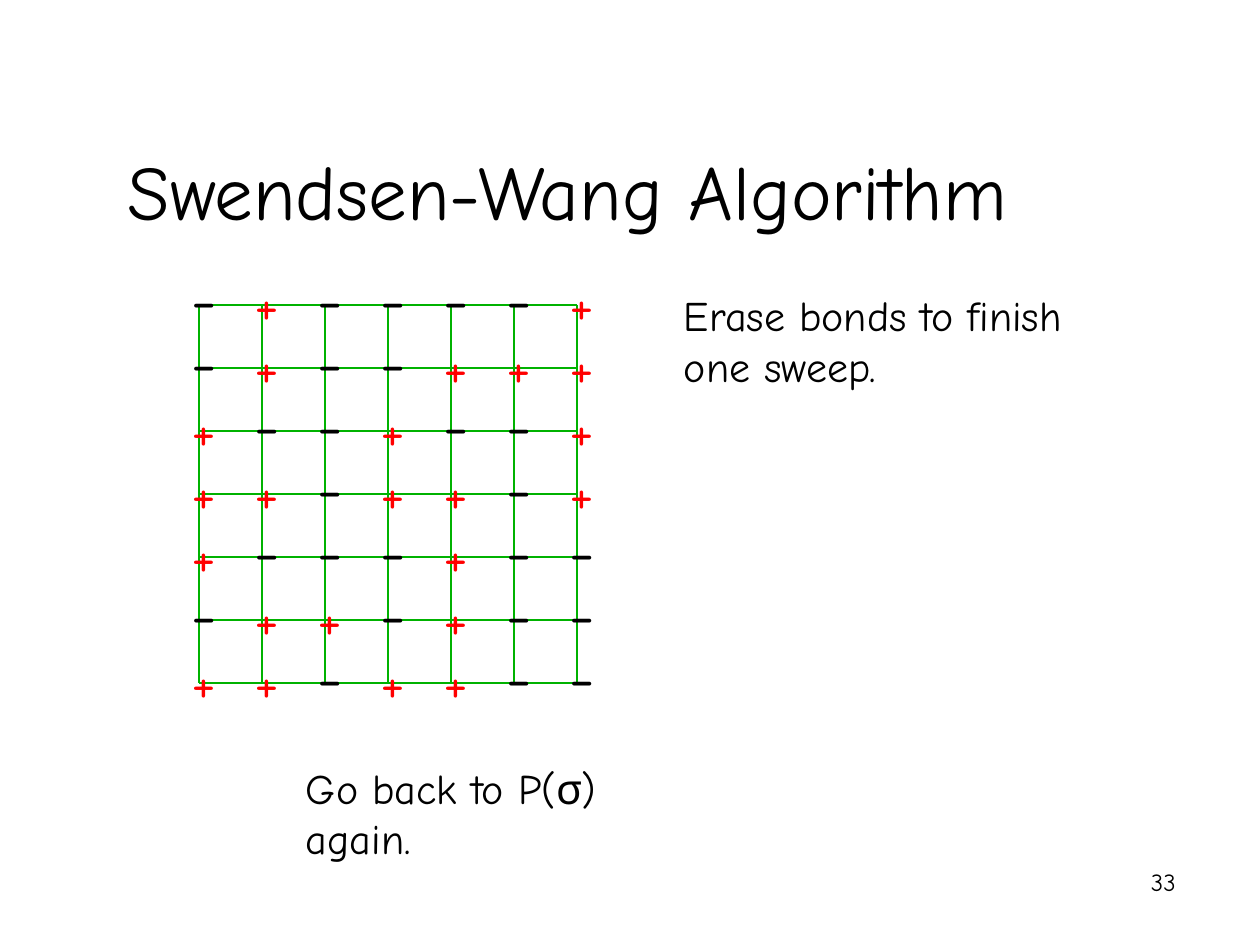
from lxml.etree import SubElement
from pptx import Presentation
from pptx.dml.color import RGBColor
from pptx.enum.shapes import MSO_CONNECTOR
from pptx.enum.text import MSO_ANCHOR, PP_ALIGN
from pptx.oxml.ns import qn
from pptx.util import Inches, Pt

FONT = "Comic Neue"
BLACK, RED, GREEN = "000000", "FF0000", "00B200"

# left, top, width, height, text, size, alignment, anchor
TEXTS = [
    (0.75, 0.17, 7.51, 1.75, "Swendsen-Wang Algorithm", 44, PP_ALIGN.CENTER, MSO_ANCHOR.BOTTOM),
    (5.33, 2.25, 3.67, 0.9, "Erase bonds to finish one sweep.", 24, PP_ALIGN.LEFT, MSO_ANCHOR.TOP),
    (2.33, 6, 3.33, 0.9, "Go back to P(σ) again.", 24, PP_ALIGN.LEFT, MSO_ANCHOR.TOP),
    (7.35, 6.83, 2.08, 0.5, "33", 14, PP_ALIGN.RIGHT, MSO_ANCHOR.TOP),
]

SPINS = [
    "-+----+",
    "-+--+++",
    "+--+--+",
    "++-++-+",
    "+---+--",
    "-++-+--",
    "++-++--",
]
# size, colour, rise of the box above its site, box height
SIGNS = {"+": (32, RED, 0.34, 0.64), "-": (36, BLACK, 0.42, 0.7)}

LEFT, TOP, STEP = 1.58, 2.42, 0.5
SIDE = STEP * (len(SPINS) - 1)


def add_text(slide, x, y, w, h, text, size, align=PP_ALIGN.LEFT,
             anchor=MSO_ANCHOR.TOP, color=BLACK):
    box = slide.shapes.add_textbox(Inches(x), Inches(y), Inches(w), Inches(h))
    frame = box.text_frame
    frame.word_wrap = True
    frame.vertical_anchor = anchor
    para = frame.paragraphs[0]
    para.alignment = align
    run = para.add_run()
    run.text = text
    run.font.name = FONT
    run.font.size = Pt(size)
    run.font.color.rgb = RGBColor.from_string(color)


def add_line(slide, x1, y1, x2, y2):
    line = slide.shapes.add_connector(
        MSO_CONNECTOR.STRAIGHT, Inches(x1), Inches(y1), Inches(x2), Inches(y2))
    line.line.color.rgb = RGBColor.from_string(GREEN)
    line.line.width = Pt(0.75)
    SubElement(line._element.spPr, qn("a:effectLst"))


def add_lattice(slide):
    for i in range(len(SPINS)):
        x = LEFT + i * STEP
        add_line(slide, x, TOP, x, TOP + SIDE)
    for i in range(len(SPINS)):
        y = TOP + i * STEP
        add_line(slide, LEFT, y, LEFT + SIDE, y)
    for row, signs in enumerate(SPINS):
        for col, sign in enumerate(signs):
            size, color, rise, high = SIGNS[sign]
            add_text(slide, LEFT - 0.16 + col * STEP, TOP - rise + row * STEP,
                     0.42, high, sign, size, color=color)


def main():
    prs = Presentation()
    prs.slide_width, prs.slide_height = Inches(10), Inches(7.5)
    slide = prs.slides.add_slide(prs.slide_layouts[6])
    add_lattice(slide)
    for item in TEXTS:
        add_text(slide, *item)
    prs.save("out.pptx")


if __name__ == "__main__":
    main()
